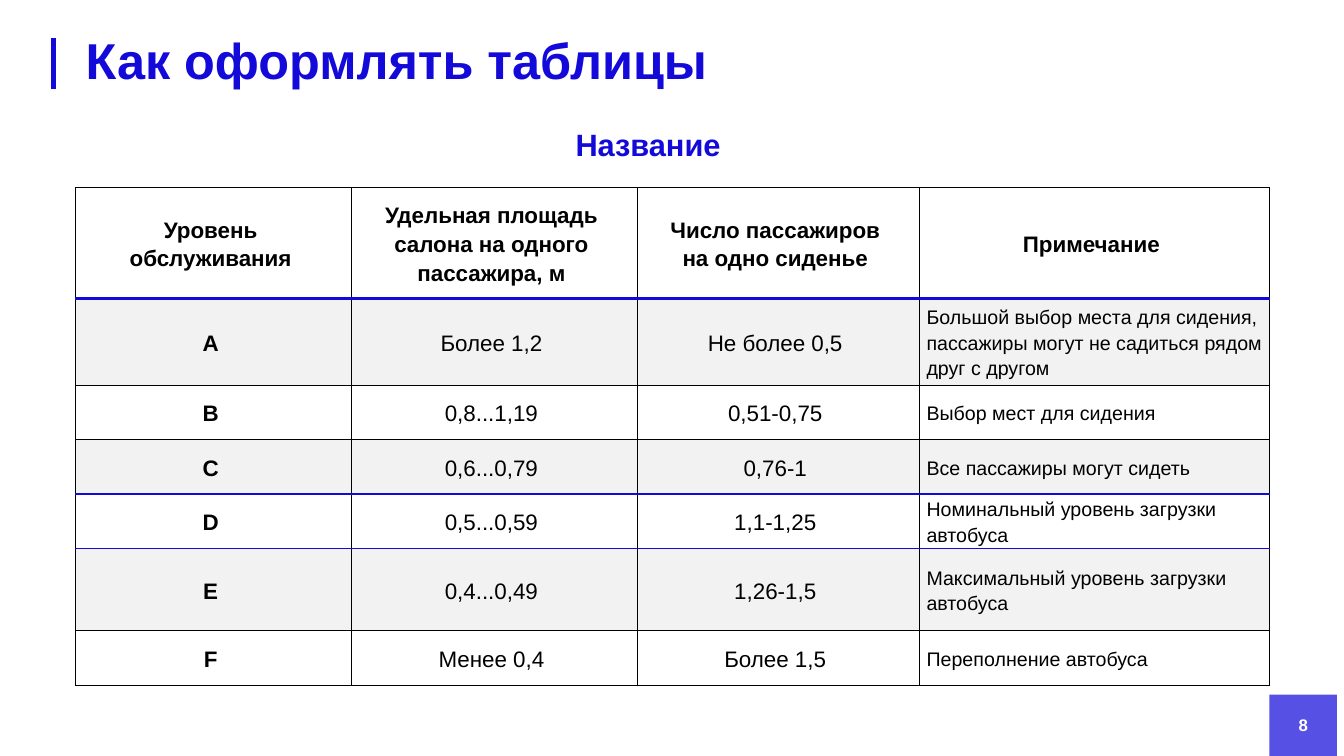
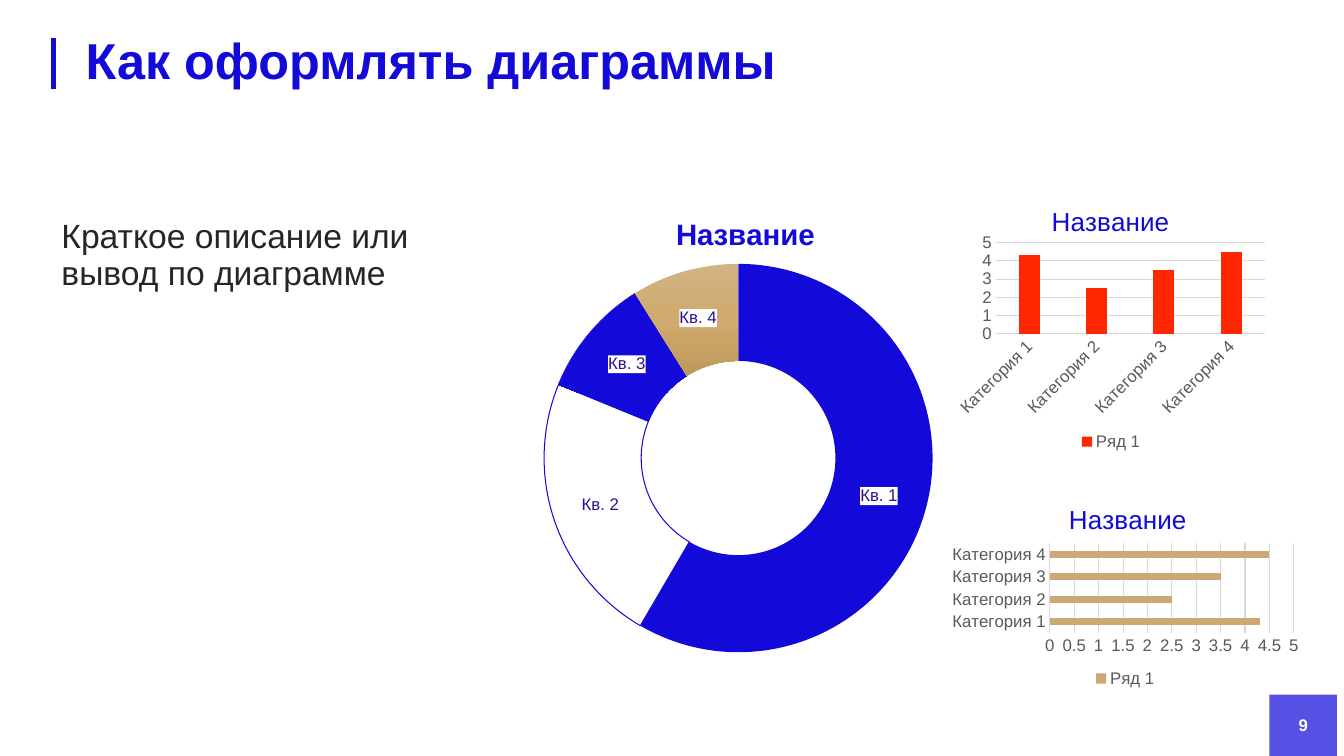
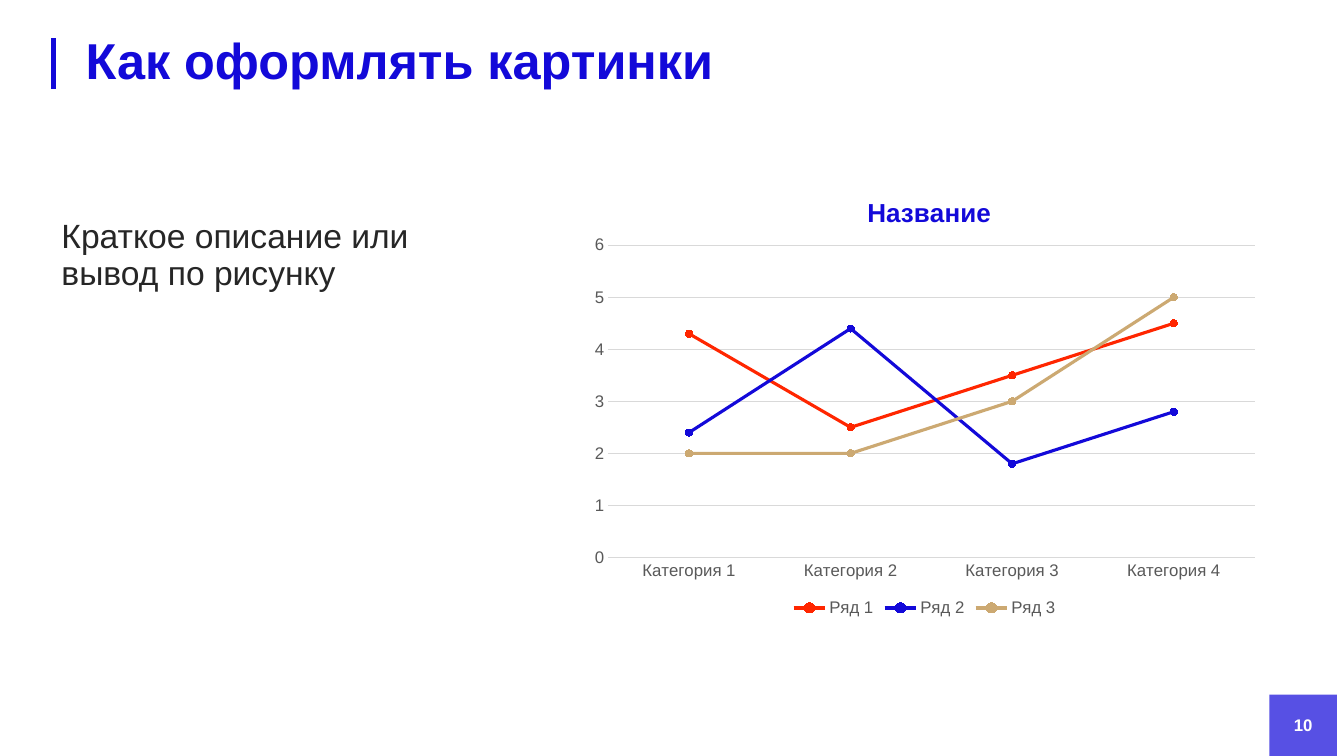
import copy
import dataclasses

import lxml.etree
import pptx
import pptx.chart.data
import pptx.dml.color
import pptx.enum.chart
import pptx.enum.dml
import pptx.enum.shapes
import pptx.enum.text
import pptx.oxml
import pptx.oxml.ns
import pptx.util

PX = 9144
CHART = pptx.enum.chart.XL_CHART_TYPE
ALIGN = pptx.enum.text.PP_ALIGN
ANCHOR = pptx.enum.text.MSO_ANCHOR
FIT = pptx.enum.text.MSO_AUTO_SIZE
qn = pptx.oxml.ns.qn


@dataclasses.dataclass(frozen=True)
class Theme:
    font: str = "Arial"
    blue: str = "1309D9"
    red: str = "FF2600"
    sand: str = "CCA972"
    sand_steps: tuple = ((0, "D2B383"), (0.5, "D0AA6E"), (1, "BF985C"))
    white: str = "FFFFFF"
    black: str = "000000"
    body: str = "262626"
    band: str = "BFBFBF"
    grid: str = "D9D9D9"
    axis: str = "595959"
    label: str = "2D1092"
    title_size: float = 36
    body_size: float = 24
    caption_size: float = 22
    doughnut_title_size: float = 21
    chart_title_size: float = 18.6
    cell_size: float = 16
    note_size: float = 14
    small_size: float = 12


THEME = Theme()


def rgb(colour):
    return pptx.dml.color.RGBColor.from_string(colour)


def px(*lengths):
    return [pptx.util.Emu(length * PX) for length in lengths]


def assign(target, **values):
    for name, value in values.items():
        setattr(target, name, value)


def fade(element, percent):
    colour = element.find(".//" + qn("a:srgbClr"))
    lxml.etree.SubElement(colour, qn("a:alpha"), val=str(percent * 1000))


def paint(fill, colour):
    fill.solid()
    fill.fore_color.rgb = rgb(colour)


def draw_line(line, colour, width):
    paint(line.fill, colour)
    line.width = pptx.util.Pt(width)


def place(parent, x, y, w=None, h=None):
    for old in parent.findall(qn("c:layout")):
        parent.remove(old)
    values = {"xMode": "edge", "yMode": "edge", "x": x, "y": y}
    if w:
        values = {"layoutTarget": "inner", **values, "w": w, "h": h}
    layout = lxml.etree.Element(qn("c:layout"))
    manual = lxml.etree.SubElement(layout, qn("c:manualLayout"))
    for name, value in values.items():
        lxml.etree.SubElement(manual, qn("c:" + name), val=str(value))
    return layout


class Deck:
    def __init__(self, theme):
        self.theme = theme
        self.presentation = pptx.Presentation()
        width, height = px(1333, 750)
        assign(self.presentation, slide_width=width, slide_height=height)
        self.slide = None

    def style(self, font, size, colour, bold=False):
        assign(font, name=self.theme.font, size=pptx.util.Pt(size), bold=bold)
        font.color.rgb = rgb(colour)

    def typeset(self, frame, text, size, colour, bold=False, **layout):
        frame.text = text
        for paragraph in frame.paragraphs:
            assign(paragraph, **layout)
            for run in paragraph.runs:
                self.style(run.font, size, colour, bold)

    def start(self, title, number, layout):
        t = self.theme
        self.slide = self.presentation.slides.add_slide(self.presentation.slide_layouts[layout])
        shapes = self.slide.shapes
        accent = shapes.add_connector(pptx.enum.shapes.MSO_CONNECTOR.STRAIGHT, *px(53, 38, 53, 88))
        draw_line(accent.line, t.blue, 3)
        lxml.etree.SubElement(accent._element.spPr, qn("a:effectLst"))
        badge = shapes.add_shape(pptx.enum.shapes.MSO_SHAPE.RECTANGLE, *px(1259, 689, 67, 61))
        badge.shadow.inherit = False
        paint(badge.fill, t.blue)
        fade(badge._element.spPr, 71)
        badge.line.fill.background()
        self.placeholder(shapes.title, (75, 35, 1113, 55), ANCHOR.MIDDLE, title,
                         t.title_size, t.blue, True)
        page = self.text((1259, 699, 67, 40), str(number), t.small_size, t.white,
                         alignment=ALIGN.CENTER)
        assign(page, word_wrap=True, vertical_anchor=ANCHOR.MIDDLE)

    def placeholder(self, holder, box, anchor, text, size, colour, bold=False, **layout):
        left, top, width, height = px(*box)
        assign(holder, left=left, top=top, width=width, height=height)
        assign(holder.text_frame, vertical_anchor=anchor, word_wrap=True, auto_size=FIT.NONE)
        self.typeset(holder.text_frame, text, size, colour, bold,
                     alignment=ALIGN.LEFT, line_spacing=0.9, **layout)

    def body(self, text):
        holder = self.slide.placeholders[1]
        self.placeholder(holder, (51, 213, 458, 179), ANCHOR.TOP, text, self.theme.body_size,
                         self.theme.body, space_before=pptx.util.Pt(10))
        for paragraph in holder.text_frame.paragraphs:
            properties = paragraph._p.get_or_add_pPr()
            properties.set("marL", "0")
            properties.set("indent", "0")
            lxml.etree.SubElement(properties, qn("a:buNone"))

    def text(self, box, text, size, colour, **layout):
        frame = self.slide.shapes.add_textbox(*px(*box)).text_frame
        self.typeset(frame, text, size, colour, True, **layout)
        return frame

    def caption(self, box, text):
        frame = self.text(box, text, self.theme.caption_size, self.theme.blue)
        assign(frame, word_wrap=False, auto_size=FIT.SHAPE_TO_FIT_TEXT)

    def borders(self, cell, edges):
        for index, (side, (colour, width)) in enumerate(edges.items()):
            edge = lxml.etree.Element(qn("a:ln" + side), w=str(pptx.util.Pt(width)))
            fill = lxml.etree.SubElement(edge, qn("a:solidFill"))
            lxml.etree.SubElement(fill, qn("a:srgbClr"), val=colour)
            cell._tc.get_or_add_tcPr().insert(index, edge)

    def table(self, left, top, widths, heights, rows, accents):
        t = self.theme
        table = self.slide.shapes.add_table(
            len(rows), len(widths), *px(left, top, sum(widths), sum(heights))).table
        assign(table, first_row=False, horz_banding=False)
        for column, width in zip(table.columns, px(*widths)):
            column.width = width
        for row, height in zip(table.rows, px(*heights)):
            row.height = height
        thin = (t.black, 0.75)
        side, flat = px(7, 0)
        for r, texts in enumerate(rows):
            for c, text in enumerate(texts):
                cell = table.cell(r, c)
                note = r > 0 and c == len(widths) - 1
                assign(cell, margin_left=side, margin_right=side, margin_top=flat,
                       margin_bottom=flat, vertical_anchor=ANCHOR.MIDDLE)
                content = text if note else text.replace("\n", " \n") + " "
                self.typeset(cell.text_frame, content, t.note_size if note else t.cell_size,
                             t.black, r == 0 or c == 0, line_spacing=1.15,
                             alignment=ALIGN.LEFT if note else ALIGN.CENTER)
                paint(cell.fill, t.band if r % 2 else t.white)
                if r % 2:
                    fade(cell._tc.tcPr, 20)
                self.borders(cell, {"L": thin, "R": thin, "T": accents.get(r, thin),
                                    "B": accents.get(r + 1, thin)})

    def chart(self, kind, box, categories, series, title, title_size, title_at, plot_at, bold=False):
        t = self.theme
        data = pptx.chart.data.CategoryChartData()
        data.categories = categories
        for name, values in series:
            data.add_series(name, values)
        chart = self.slide.shapes.add_chart(kind, *px(*box), data).chart
        self.style(chart.font, t.small_size, t.axis)
        chart.has_title = True
        self.typeset(chart.chart_title.text_frame, title, title_size, t.blue, bold)
        heading = chart.chart_title._element
        heading.find(qn("c:tx")).addnext(place(heading, *title_at))
        area = chart._chartSpace.chart.plotArea
        area.insert(0, place(area, *plot_at))
        chart.has_legend = False
        return chart

    def axis_chart(self, kind, box, series, colours, top, unit, **options):
        t = self.theme
        chart = self.chart(kind, box, [f"Категория {n}" for n in range(1, 5)], series,
                           "Название", t.chart_title_size, **options)
        chart.has_legend = True
        assign(chart.legend, position=pptx.enum.chart.XL_LEGEND_POSITION.BOTTOM,
               include_in_layout=False)
        self.style(chart.legend.font, t.small_size, t.axis)
        for axis in (chart.category_axis, chart.value_axis):
            assign(axis, major_tick_mark=pptx.enum.chart.XL_TICK_MARK.NONE,
                   minor_tick_mark=pptx.enum.chart.XL_TICK_MARK.NONE)
            self.style(axis.tick_labels.font, t.small_size, t.axis)
        draw_line(chart.category_axis.format.line, t.grid, 0.75)
        assign(chart.value_axis, minimum_scale=0, maximum_scale=top, major_unit=unit,
               has_major_gridlines=True)
        chart.value_axis.format.line.fill.background()
        draw_line(chart.value_axis.major_gridlines.format.line, t.grid, 0.75)
        plot = chart.plots[0]
        plot.vary_by_categories = False
        for item, colour in zip(plot.series, colours):
            if kind == CHART.LINE_MARKERS:
                item.smooth = False
                draw_line(item.format.line, colour, 2.25)
                assign(item.marker, style=pptx.enum.chart.XL_MARKER_STYLE.CIRCLE, size=5)
                paint(item.marker.format.fill, colour)
                draw_line(item.marker.format.line, colour, 0.75)
            else:
                item.invert_if_negative = False
                paint(item.format.fill, colour)
                plot.gap_width = 219
        return chart

    def doughnut(self, box, categories, values, **options):
        t = self.theme
        chart = self.chart(CHART.DOUGHNUT, box, categories, [("Series 1", values)],
                           "Название", t.doughnut_title_size, bold=True, **options)
        plot = chart.plots[0]
        assign(plot, vary_by_categories=True, has_data_labels=True)
        assign(plot.data_labels, show_category_name=True, show_value=False, show_percentage=False)
        self.style(plot.data_labels.font, t.small_size, t.label)
        backing = lxml.etree.Element(qn("c:spPr"))
        fill = lxml.etree.SubElement(backing, qn("a:solidFill"))
        lxml.etree.SubElement(fill, qn("a:srgbClr"), val=t.white)
        plot.data_labels._element.find(qn("c:txPr")).addprevious(backing)
        first, second, third, fourth = [plot.series[0].points[n].format for n in range(4)]
        paint(first.fill, t.blue)
        paint(second.fill, t.white)
        third.fill.patterned()
        third.fill.pattern = pptx.enum.dml.MSO_PATTERN.DARK_HORIZONTAL
        third.fill.fore_color.rgb = rgb(t.blue)
        third.fill.back_color.rgb = rgb(t.white)
        fourth.fill.gradient()
        fourth.fill.gradient_angle = 270
        start = fourth.fill.gradient_stops[0]._gs
        start.addnext(copy.deepcopy(start))
        for stop, (position, colour) in zip(fourth.fill.gradient_stops, t.sand_steps):
            stop.position = position
            stop.color.rgb = rgb(colour)
        for outlined in (second, third):
            draw_line(outlined.line, t.blue, 0.75)
        for plain in (first, fourth):
            plain.line.fill.background()


SERVICE_LEVELS = [
    ("Уровень\nобслуживания", "Удельная площадь\nсалона на одного\nпассажира, м",
     "Число пассажиров\nна одно сиденье", "Примечание"),
    ("А", "Более 1,2", "Не более 0,5",
     "Большой выбор места для сидения, пассажиры могут не садиться рядом друг с другом"),
    ("B", "0,8...1,19", "0,51-0,75", "Выбор мест для сидения"),
    ("С", "0,6...0,79", "0,76-1", "Все пассажиры могут сидеть"),
    ("D", "0,5...0,59", "1,1-1,25", "Номинальный уровень загрузки автобуса"),
    ("E", "0,4...0,49", "1,26-1,5", "Максимальный уровень загрузки автобуса"),
    ("F", "Менее 0,4", "Более 1,5", "Переполнение автобуса"),
]
ROWS = [
    ("Ряд 1", (4.3, 2.5, 3.5, 4.5)),
    ("Ряд 2", (2.4, 4.4, 1.8, 2.8)),
    ("Ряд 3", (2, 2, 3, 5)),
]


def main():
    t = THEME
    deck = Deck(t)

    deck.start("Как оформлять таблицы", 8, layout=5)
    deck.table(75, 186, (274, 283, 280, 347), (110, 86, 54, 54, 54, 82, 54), SERVICE_LEVELS,
               accents={1: (t.blue, 2), 4: (t.blue, 1.5), 5: (t.blue, 1)})
    deck.caption((561, 120, 166, 47), "Название")

    deck.start("Как оформлять диаграммы", 9, layout=1)
    deck.body("Краткое описание или вывод по диаграмме")
    deck.doughnut((518, 185, 433, 477), [f"Кв. {n}" for n in range(1, 5)], (59, 23, 10, 9),
                  title_at=(0.34, 0.05), plot_at=(0.05, 0.16, 0.89, 0.81))
    columns = deck.axis_chart(CHART.COLUMN_CLUSTERED, (943, 185, 318, 266), ROWS[:1], [t.red], 5, 1,
                              title_at=(0.3, 0.05), plot_at=(0.14, 0.21, 0.84, 0.34))
    columns.plots[0].overlap = -27
    tilted = columns.category_axis._element.find(qn("c:txPr")).find(qn("a:bodyPr"))
    tilted.set("rot", "-2700000")
    deck.axis_chart(CHART.BAR_CLUSTERED, (938, 479, 356, 207), ROWS[:1], [t.sand], 5, 0.5,
                    title_at=(0.33, 0.07), plot_at=(0.29, 0.29, 0.68, 0.43))

    deck.start("Как оформлять картинки", 10, layout=1)
    deck.body("Краткое описание или вывод по рисунку")
    deck.axis_chart(CHART.LINE_MARKERS, (576, 167, 682, 449), ROWS, [t.red, t.blue, t.sand], 6, 1,
                    title_at=(0.41, 0.05), plot_at=(0.04, 0.17, 0.94, 0.69), bold=True)

    deck.presentation.save("out.pptx")


if __name__ == "__main__":
    main()
